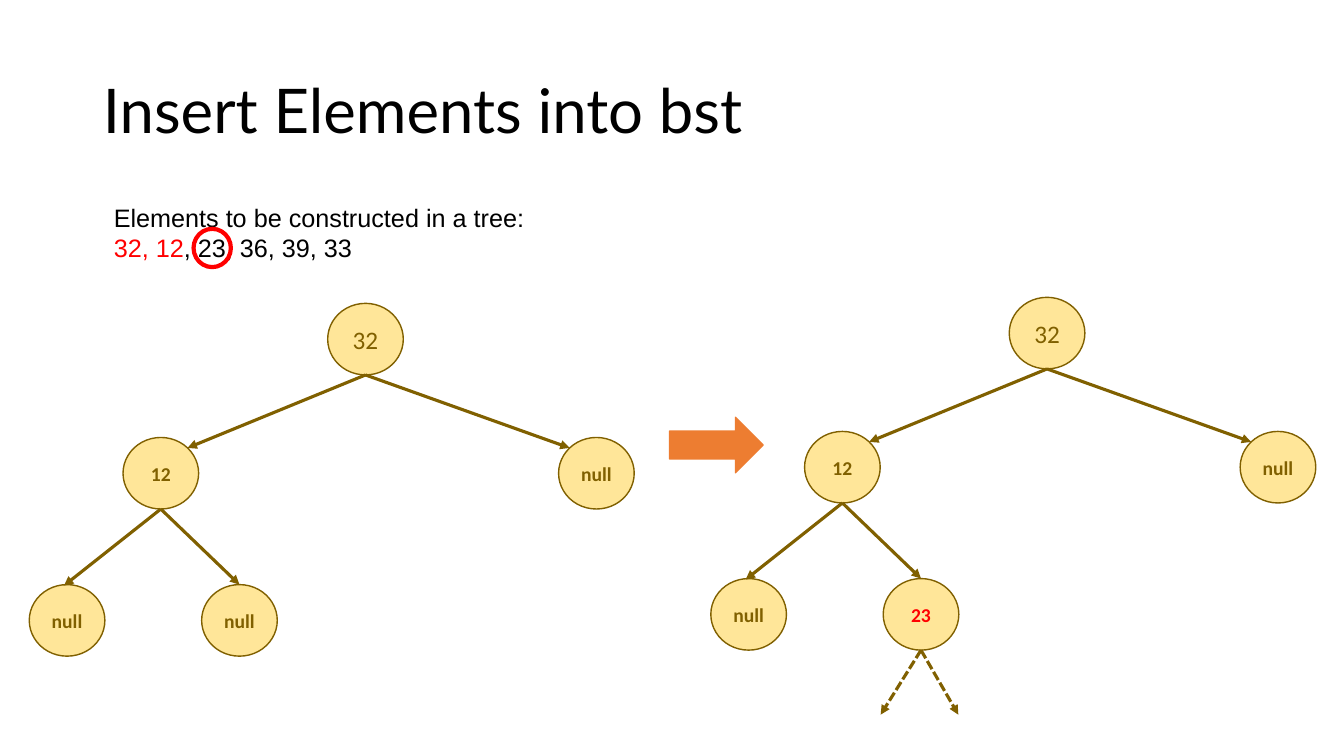
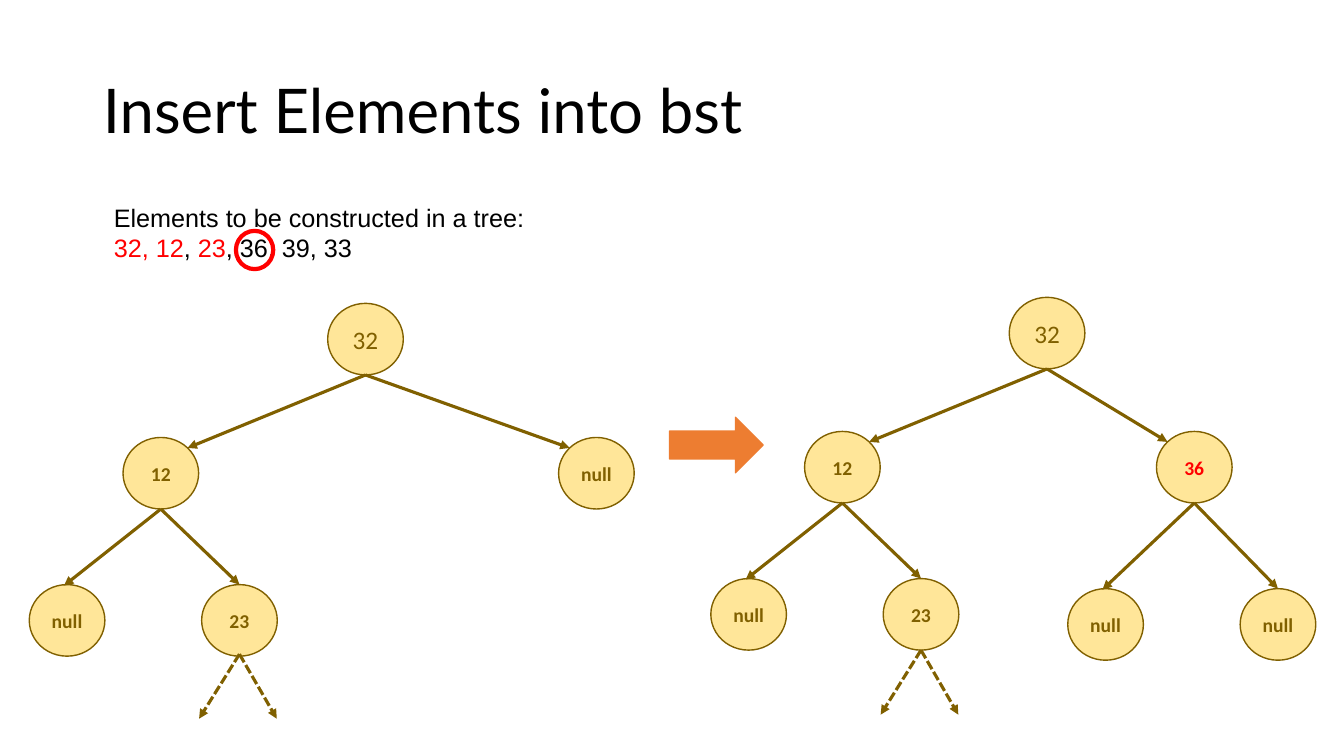
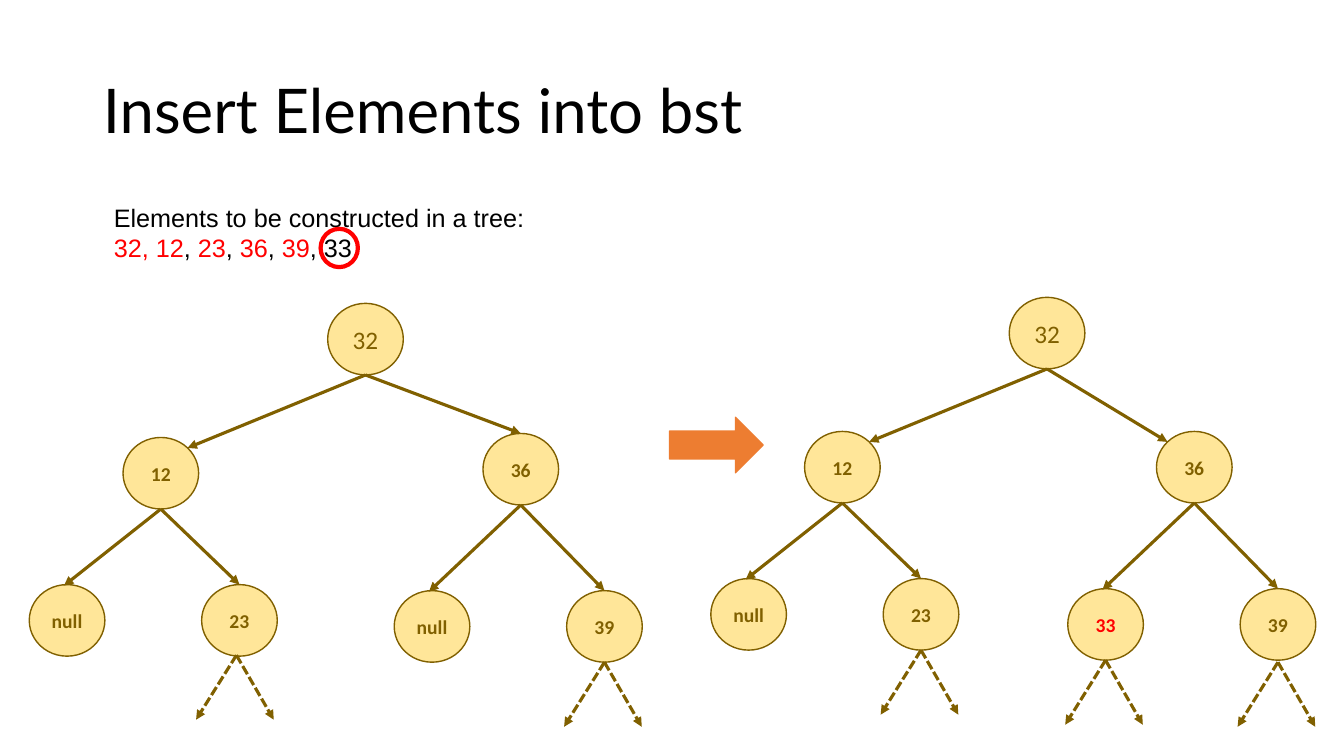
from pptx import Presentation, util as u
from pptx.dml.color import RGBColor
from pptx.enum import dml, shapes, text
from pptx.oxml.ns import qn
from lxml import etree

BLACK = RGBColor(0x00, 0x00, 0x00)
RED = RGBColor(0xFF, 0x00, 0x00)
ORANGE = RGBColor(0xED, 0x7D, 0x31)
YELLOW = RGBColor(0xFF, 0xE6, 0x99)
BROWN = RGBColor(0x80, 0x60, 0x00)

TITLE = "Insert Elements into bst"
INTRO = "Elements to be constructed in a tree:"
ELEMENTS = [32, 12, 23, 36, 39, 33]

# Nodes are keyed by their way down from the root: "LR" is left, then right.
# "hanging" gives the nodes with dashed arrows, and the shift of those arrows.
STEPS = [
    {"current": 2, "ring_top": 2.27,
     "before": {"labels": {"": "32", "L": "12", "R": "null", "LL": "null", "LR": "null"},
                "hanging": {}},
     "after": {"labels": {"": "32", "L": "12", "R": "null", "LL": "null", "LR": "23"},
               "hanging": {"LR": (0, 0)}}},
    {"current": 3, "ring_top": 2.29,
     "before": {"labels": {"": "32", "L": "12", "R": "null", "LL": "null", "LR": "23"},
                "hanging": {"LR": (0, -0.02)}},
     "after": {"labels": {"": "32", "L": "12", "R": "36", "LL": "null", "LR": "23",
                          "RL": "null", "RR": "null"},
               "hanging": {"LR": (0, 0)}}},
    {"current": 5, "ring_top": 2.27,
     "before": {"labels": {"": "32", "L": "12", "R": "36", "LL": "null", "LR": "23",
                           "RL": "null", "RR": "39"},
                "hanging": {"LR": (-0.03, -0.01), "RR": (0, 0)},
                "right_shift": (0.08, -0.04), "right_tip_on_top": True},
     "after": {"labels": {"": "32", "L": "12", "R": "36", "LL": "null", "LR": "23",
                          "RL": "33", "RR": "39"},
               "hanging": {"LR": (0, 0), "RL": (0, 0), "RR": (0, 0.02)}}},
]

NODE_W, NODE_H = 0.75, 0.71
PLACES = {"": (3.25, 3.01), "L": (1.22, 4.34), "R": (4.71, 4.34), "LL": (0.29, 5.80),
          "LR": (2.00, 5.80), "RL": (3.83, 5.90), "RR": (5.54, 5.90)}
LONE_RIGHT = (5.54, 4.34)
BEFORE_ORIGIN, AFTER_ORIGIN = (0, 0), (6.76, -0.06)
DIAGONAL = 0.5 ** 0.5
HANGING_TIPS = [(0.37, 0.64), (-0.40, 0.64)]
RING_START, RING_PITCH = 1.08, 0.42


def inches(*lengths):
    return [u.Inches(length) for length in lengths]


def add_run(paragraph, words, size, font, color, bold=False):
    run = paragraph.add_run()
    run.text = words
    run.font.size, run.font.name, run.font.bold = u.Pt(size), font, bold
    run.font.color.rgb = color


def add_outline(slide, preset, box, fill, line, width):
    shape = slide.shapes.add_shape(preset, *inches(*box))
    shape.shadow.inherit = False
    if fill is None:
        shape.fill.background()
    else:
        shape.fill.solid()
        shape.fill.fore_color.rgb = fill
    shape.line.color.rgb, shape.line.width = line, u.Pt(width)
    return shape


def add_arrow(slide, start, tip, dashed=False):
    arrow = slide.shapes.add_connector(shapes.MSO_CONNECTOR.STRAIGHT, *inches(*start, *tip))
    arrow.line.color.rgb, arrow.line.width = BROWN, u.Pt(2.25)
    if dashed:
        arrow.line.dash_style = dml.MSO_LINE.SQUARE_DOT
    etree.SubElement(arrow.line._get_or_add_ln(), qn("a:tailEnd"), type="triangle")
    etree.SubElement(arrow._element.spPr, qn("a:effectLst"))


def add_node(slide, corner, label, is_root, color):
    node = add_outline(slide, shapes.MSO_SHAPE.OVAL, (*corner, NODE_W, NODE_H), YELLOW, BROWN, 1)
    frame = node.text_frame
    frame.margin_left = frame.margin_right = 0
    frame.vertical_anchor = text.MSO_ANCHOR.MIDDLE
    paragraph = frame.paragraphs[0]
    paragraph.alignment = text.PP_ALIGN.CENTER
    add_run(paragraph, label, 18 if is_root else 14, "Calibri", color, bold=not is_root)


def arrow_tip(way, corner, on_top):
    """Where the arrow from the parent touches the node."""
    x, y = corner[0] + NODE_W / 2, corner[1]
    if len(way) == 1 and not on_top:
        toward_parent = 1 if way == "L" else -1
        return (x + toward_parent * DIAGONAL * NODE_W / 2,
                y + (1 - DIAGONAL) * NODE_H / 2)
    return (x - 0.03, y + 0.01) if way.endswith("L") else (x, y)


def add_tree(slide, tree, origin, new_label=None):
    labels = tree["labels"]
    corners = {}
    for way in labels:
        x, y = LONE_RIGHT if way == "R" and "RL" not in labels else PLACES[way]
        dx, dy = tree.get("right_shift", (0, 0)) if way.startswith("R") else (0, 0)
        corners[way] = (x + origin[0] + dx, y + origin[1] + dy)
    feet = {way: (x + NODE_W / 2, y + NODE_H) for way, (x, y) in corners.items()}

    for way, label in labels.items():
        add_node(slide, corners[way], label, way == "", RED if label == new_label else BROWN)
    for way in labels:
        if way:
            on_top = way == "R" and tree.get("right_tip_on_top", False)
            add_arrow(slide, feet[way[:-1]], arrow_tip(way, corners[way], on_top))
    for way, (dx, dy) in tree["hanging"].items():
        x, y = feet[way][0] + dx, feet[way][1] + dy
        for across, down in HANGING_TIPS:
            add_arrow(slide, (x, y), (x + across, y + down), dashed=True)


def add_title(slide):
    title = slide.shapes.title
    title.left, title.top, title.width, title.height = inches(0.92, 0.4, 11.5, 1.45)
    frame = title.text_frame
    frame.auto_size = text.MSO_AUTO_SIZE.NONE
    frame.vertical_anchor = text.MSO_ANCHOR.MIDDLE
    paragraph = frame.paragraphs[0]
    paragraph.alignment, paragraph.line_spacing = text.PP_ALIGN.LEFT, 0.9
    add_run(paragraph, TITLE, 44, "Lato", BLACK)


def add_elements(slide, current, ring_top):
    """List the elements, those already inserted in red, and ring the current one."""
    frame = slide.shapes.add_textbox(*inches(1.03, 1.96, 4.31, 0.71)).text_frame
    frame.word_wrap = False
    frame.auto_size = text.MSO_AUTO_SIZE.SHAPE_TO_FIT_TEXT
    add_run(frame.paragraphs[0], INTRO, 18, "Arial", BLACK)
    listing = frame.add_paragraph()
    for i, element in enumerate(ELEMENTS):
        if i:
            add_run(listing, ", ", 18, "Arial", RED if i == 1 else BLACK)
        add_run(listing, str(element), 18, "Arial", RED if i < current else BLACK)
    ring = (RING_START + current * RING_PITCH, ring_top, 0.37, 0.38)
    add_outline(slide, shapes.MSO_SHAPE.OVAL, ring, None, RED, 3)


def main():
    deck = Presentation()
    deck.slide_width, deck.slide_height = inches(13.33, 7.5)
    for step in STEPS:
        slide = deck.slides.add_slide(deck.slide_layouts[5])
        add_title(slide)
        add_elements(slide, step["current"], step["ring_top"])
        add_outline(slide, shapes.MSO_SHAPE.RIGHT_ARROW, (6.64, 4.14, 0.93, 0.55),
                    ORANGE, ORANGE, 1)
        add_tree(slide, step["before"], BEFORE_ORIGIN)
        add_tree(slide, step["after"], AFTER_ORIGIN, str(ELEMENTS[step["current"]]))
    deck.save("out.pptx")


if __name__ == "__main__":
    main()
